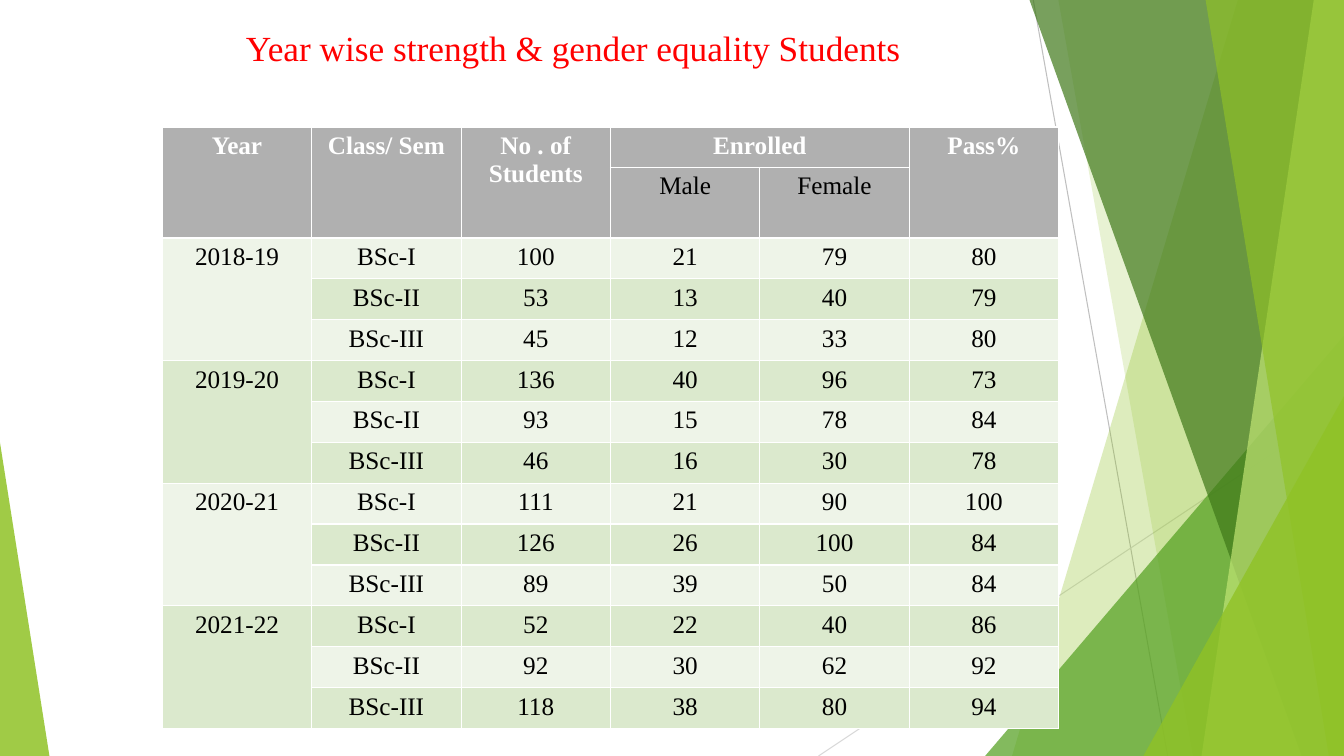
"""Build a slide with a table of yearly student strength on a faceted green background."""
from lxml import etree
from pptx import Presentation
from pptx import util as u
from pptx.dml.color import RGBColor
from pptx.enum import shapes, text
from pptx.oxml.ns import qn

W, H = u.Inches(13.33), u.Inches(7.5)
FONT = "Times New Roman"

RED = RGBColor(0xFF, 0x00, 0x00)
WHITE = RGBColor(0xFF, 0xFF, 0xFF)
BLACK = RGBColor(0x00, 0x00, 0x00)
HEADER_GRAY = RGBColor(0xB0, 0xB0, 0xB0)
BANDS = (RGBColor(0xEE, 0xF4, 0xE8), RGBColor(0xDB, 0xE9, 0xCD))
LINE_GRAY = RGBColor(0xBF, 0xBF, 0xBF)
PALE_GRAY = RGBColor(0xD9, 0xD9, 0xD9)
LIME = RGBColor(0x90, 0xC2, 0x26)
PALE_LIME = RGBColor(0xC0, 0xE4, 0x74)
GREEN = RGBColor(0x54, 0xA0, 0x21)
DARK_GREEN = RGBColor(0x3F, 0x78, 0x19)

HEADER = [
    ["Year", "Class/ Sem", "No . of Students", "Enrolled", "", "Pass%"],
    ["", "", "", "Male", "Female", ""],
]
CLASSES = ["BSc-I", "BSc-II", "BSc-III"]
RESULTS = {
    "2018-19": [(100, 21, 79, 80), (53, 13, 40, 79), (45, 12, 33, 80)],
    "2019-20": [(136, 40, 96, 73), (93, 15, 78, 84), (46, 16, 30, 78)],
    "2020-21": [(111, 21, 90, 100), (126, 26, 100, 84), (89, 39, 50, 84)],
    "2021-22": [(52, 22, 40, 86), (92, 30, 62, 92), (118, 38, 80, 94)],
}


def x(percent):
    """Return a share of the slide width."""
    return round(W * percent / 100)


def y(percent):
    """Return a share of the slide height."""
    return round(H * percent / 100)


def add_line(s, start, end, color):
    """Draw a thin straight line between two points."""
    line = s.shapes.add_connector(
        shapes.MSO_CONNECTOR.STRAIGHT, x(start[0]), y(start[1]), x(end[0]), y(end[1]))
    line.line.color.rgb = color
    line.line.width = u.Pt(0.75)
    etree.SubElement(line._element.spPr, qn("a:effectLst"))


def paint(sp, color, opacity):
    """Give a shape a translucent fill without outline or shadow."""
    sp.shadow.inherit = False
    sp.line.fill.background()
    sp.fill.solid()
    sp.fill.fore_color.rgb = color
    clr = sp._element.spPr.find(qn("a:solidFill")).find(qn("a:srgbClr"))
    etree.SubElement(clr, qn("a:alpha"), val=str(opacity * 1000))


def add_facet(s, top, bottom, color, opacity):
    """Fill the area from a slanted edge to the right side of the slide."""
    builder = s.shapes.build_freeform(x(top), 0)
    builder.add_line_segments([(W, 0), (W, H), (x(bottom), H)])
    paint(builder.convert_to_shape(), color, opacity)


def add_corner(s, left, top, width, apex, color, opacity):
    """Add a right triangle standing on the bottom edge."""
    sp = s.shapes.add_shape(
        shapes.MSO_SHAPE.ISOSCELES_TRIANGLE, x(left), y(top), x(width), H - y(top))
    sp.adjustments[0] = apex
    paint(sp, color, opacity)


def add_background(s):
    """Draw the lines, facets and corners from back to front."""
    add_line(s, (76.88, 0), (86.88, 100), LINE_GRAY)
    add_line(s, (100, 53.7), (60.9, 100), PALE_GRAY)
    add_facet(s, 92.1, 75.3, LIME, 30)
    add_facet(s, 78.75, 88.75, LIME, 20)
    add_corner(s, 73.3, 44.4, 26.7, 1, GREEN, 72)
    add_facet(s, 76.6, 96.85, DARK_GREEN, 70)
    add_facet(s, 97.75, 89.4, PALE_LIME, 70)
    add_facet(s, 89.7, 98.87, LIME, 65)
    add_corner(s, 85.07, 52.4, 14.93, 1, LIME, 80)
    add_corner(s, 0, 58.53, 3.68, 0, LIME, 85)


def add_title(s, title):
    """Add the red heading above the table."""
    tf = s.shapes.add_textbox(x(6.3), y(2.67), x(78.25), y(7.07)).text_frame
    tf.word_wrap = True
    tf.margin_left = x(12)
    tf.vertical_anchor = text.MSO_ANCHOR.BOTTOM
    p = tf.paragraphs[0]
    p.text = title
    p.font.name, p.font.size, p.font.color.rgb = FONT, u.Pt(25.2), RED


def fill_cell(cell, content, fill, color=BLACK, bold=False):
    """Write centred text in a cell and colour the cell."""
    cell.fill.solid()
    cell.fill.fore_color.rgb = fill
    p = cell.text_frame.paragraphs[0]
    p.text = str(content)
    p.alignment = text.PP_ALIGN.CENTER
    p.font.name, p.font.size = FONT, u.Pt(18)
    p.font.bold, p.font.color.rgb = bold, color


def add_strength_table(s):
    """Add the table with its two header rows and three rows for each year."""
    body = [[year if i == 0 else "", CLASSES[i], *values]
            for year, group in RESULTS.items() for i, values in enumerate(group)]
    heights = [5.2, 8.4] + [5.41] * len(body)
    table = s.shapes.add_table(
        len(heights), len(HEADER[0]), x(12.08), y(16.8), x(66.69), y(sum(heights))).table
    for row, height in zip(table.rows, heights):
        row.height = y(height)
    for r, row in enumerate(HEADER + body):
        for c, content in enumerate(row):
            if r < len(HEADER):
                top = r == 0
                fill_cell(table.cell(r, c), content, HEADER_GRAY, WHITE if top else BLACK, top)
            else:
                fill_cell(table.cell(r, c), content, BANDS[r % 2])
    for c in (0, 1, 2, 5):
        table.cell(0, c).merge(table.cell(1, c))
    table.cell(0, 3).merge(table.cell(0, 4))
    for r in range(len(HEADER), len(heights), len(CLASSES)):
        table.cell(r, 0).merge(table.cell(r + len(CLASSES) - 1, 0))


def main():
    """Build and save the slide."""
    prs = Presentation()
    prs.slide_width, prs.slide_height = W, H
    s = prs.slides.add_slide(prs.slide_layouts[6])
    add_background(s)
    add_title(s, "Year wise strength & gender equality Students")
    add_strength_table(s)
    prs.save("out.pptx")


if __name__ == "__main__":
    main()
